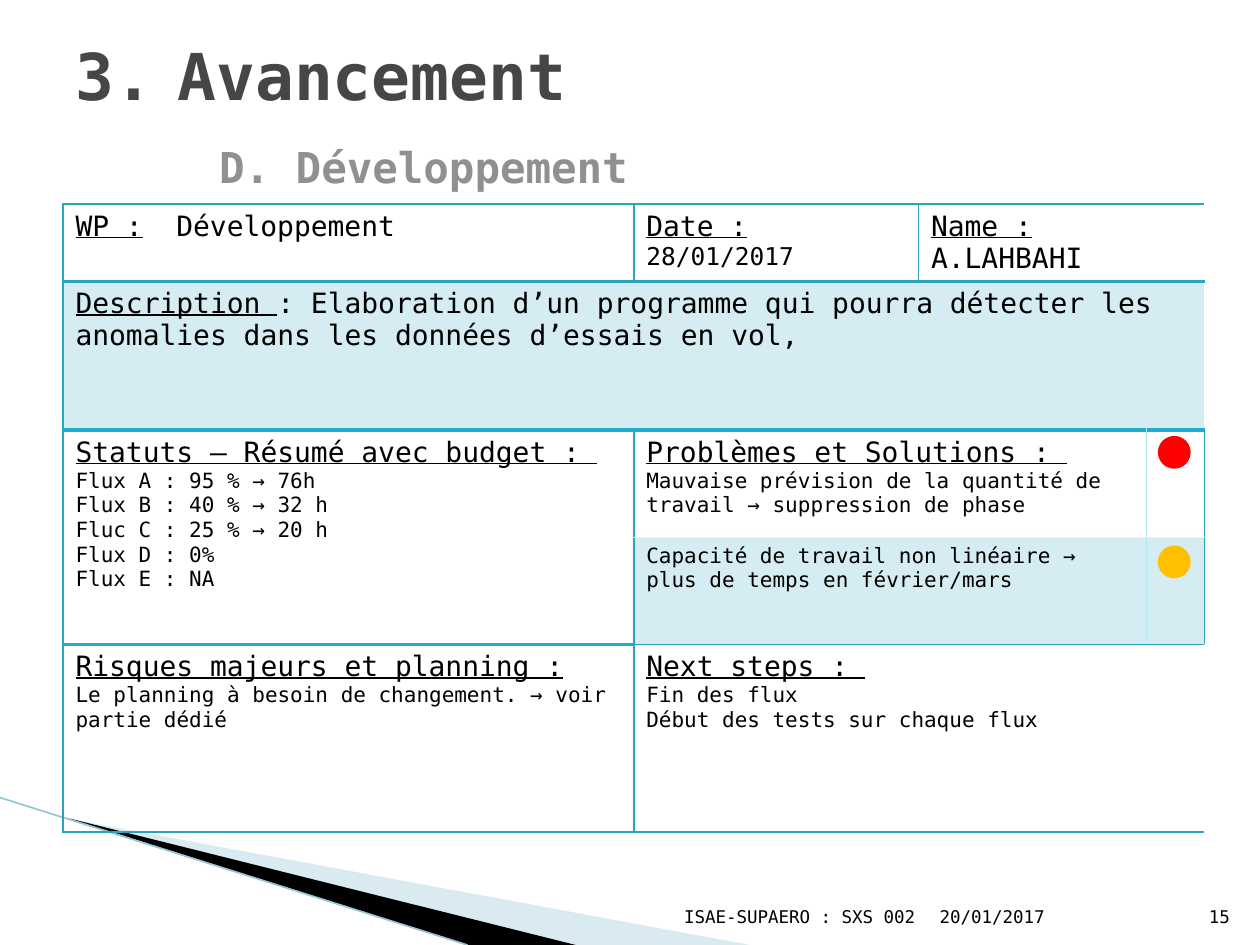
from lxml.etree import SubElement
from pptx import Presentation
from pptx.dml.color import RGBColor
from pptx.enum.shapes import MSO_CONNECTOR, MSO_SHAPE
from pptx.enum.text import MSO_ANCHOR, PP_ALIGN
from pptx.oxml.ns import qn
from pptx.util import Inches, Pt

FONT = "DejaVu Sans Mono"
TEAL, BRIGHT, PALE, FAINT = "2DA2BF", "1FAECD", "B5E9F4", "DEF5FA"


def paint(color_format, color, alpha=None):
    """Set a colour from a hex string, with opacity in percent if given."""
    color_format.rgb = RGBColor.from_string(color)
    if alpha is not None:
        choice = color_format._xFill.find(qn("a:srgbClr"))
        SubElement(choice, qn("a:alpha"), val=str(alpha * 1000))


def add_run(paragraph, text, size, color="000000", bold=False, underline=False):
    run = paragraph.add_run()
    run.text = text
    run.font.name, run.font.size = FONT, Pt(size)
    run.font.bold, run.font.underline = bold, underline
    paint(run.font.color, color)


presentation = Presentation()
presentation.slide_width, presentation.slide_height = Inches(10), Inches(7.5)
slide = presentation.slides.add_slide(presentation.slide_layouts[6])
shapes = slide.shapes

# Wedges in the lower left corner
wedges = [
    ([(0.55, 6.5), (5.95, 7.5), (4.56, 7.5)], "A0CBDC", 40),
    ([(0.53, 6.49), (4.57, 7.5), (3.72, 7.5)], "000000", None),
]
for points, color, alpha in wedges:
    corners = [(Inches(x), Inches(y)) for x, y in points]
    builder = shapes.build_freeform(*corners[0], scale=1.0)
    builder.add_line_segments(corners[1:], close=True)
    wedge = builder.convert_to_shape()
    wedge.shadow.inherit = False
    wedge.line.fill.background()
    wedge.fill.solid()
    paint(wedge.fill.fore_color, color, alpha)

edge = shapes.add_connector(
    MSO_CONNECTOR.STRAIGHT, Inches(0), Inches(6.33), Inches(3.71), Inches(7.5)
)
edge.line.width = Pt(0.95)
paint(edge.line.color, "97C5D8")
SubElement(edge._element.spPr, qn("a:effectLst"))

# Status table
column_widths = [4.53, 2.26, 1.81, 0.46]
row_heights = [0.61, 1.18, 0.85, 0.85, 1.49]
table = shapes.add_table(
    len(row_heights), len(column_widths), Inches(0.5), Inches(1.62),
    Inches(sum(column_widths)), Inches(sum(row_heights)),
).table
table.first_row = table.horz_banding = False
for column, width in zip(table.columns, column_widths):
    column.width = Inches(width)
for row, height in zip(table.rows, row_heights):
    row.height = Inches(height)

# Each block: first cell, last cell, tinted, borders that differ, paragraphs
# A paragraph is a list of (text, size, underlined)
thin = (TEAL, 1)
under_head, under_text = (TEAL, 2), (BRIGHT, 2.25)
side, split = (PALE, 1), (FAINT, 0.25)
blocks = [
    ((0, 0), (0, 0), False, {"B": under_head},
     [[("WP :", 16, True), ("\tDéveloppement", 16, False)]]),
    ((0, 1), (0, 1), False, {"B": under_head},
     [[("Date :", 16, True), (" ", 16, False), ("28/01/2017", 14, False)]]),
    ((0, 2), (0, 3), False, {"B": under_head},
     [[("Name :", 16, True), (" A.LAHBAHI", 16, False)]]),
    ((1, 0), (1, 3), True, {"T": under_head, "B": under_text},
     [[("Description ", 16, True),
       (": Elaboration d’un programme qui pourra détecter les anomalies "
        "dans les données d’essais en vol,", 16, False)]]),
    ((2, 0), (3, 0), False, {"T": under_text, "B": under_text},
     [[("Statuts – Résumé avec budget : ", 16, True)],
      [("Flux A : 95 % → 76h", 12, False)],
      [("Flux B : 40 % → 32 h", 12, False)],
      [("Fluc C : 25 % → 20 h", 12, False)],
      [("Flux D : 0%", 12, False)],
      [("Flux E : NA", 12, False)]]),
    ((2, 1), (2, 2), False, {"T": under_text, "R": side, "B": split},
     [[("Problèmes et Solutions : ", 16, True)],
      [("Mauvaise prévision de la quantité de travail → suppression de phase",
        12, False)]]),
    ((2, 3), (2, 3), False, {"L": side, "T": under_text, "B": split}, []),
    ((3, 1), (3, 2), True, {"T": split, "R": side},
     [[("Capacité de travail non linéaire → plus de temps en février/mars",
        12, False)]]),
    ((3, 3), (3, 3), True, {"L": side, "T": split}, []),
    ((4, 0), (4, 0), False, {"T": under_text},
     [[("Risques majeurs et planning :", 16, True)],
      [("Le planning à besoin de changement. → voir partie dédié", 12, False)]]),
    ((4, 1), (4, 3), False, {},
     [[("Next steps : ", 16, True)],
      [("Fin des flux", 12, False)],
      [("Début des tests sur chaque flux", 12, False)]]),
]
for (top, left), (bottom, right), tinted, borders, paragraphs in blocks:
    first_cell = table.cell(top, left)
    if (top, left) != (bottom, right):
        first_cell.merge(table.cell(bottom, right))

    # Borders on the outer sides of the block, then the fill
    for row in range(top, bottom + 1):
        for column in range(left, right + 1):
            cell = table.cell(row, column)
            properties = cell._tc.get_or_add_tcPr()
            outer = {"L": column == left, "R": column == right,
                     "T": row == top, "B": row == bottom}
            for name in (name for name, shown in outer.items() if shown):
                color, width = borders.get(name, thin)
                line = SubElement(properties, qn(f"a:ln{name}"), w=str(Pt(width)))
                SubElement(SubElement(line, qn("a:solidFill")), qn("a:srgbClr"), val=color)
            if tinted:
                cell.fill.solid()
                paint(cell.fill.fore_color, TEAL, 20)
            else:
                cell.fill.background()

    for index, runs in enumerate(paragraphs):
        text_frame = first_cell.text_frame
        paragraph = text_frame.add_paragraph() if index else text_frame.paragraphs[0]
        if any("\t" in text for text, _, _ in runs):
            tabs = SubElement(paragraph._p.get_or_add_pPr(), qn("a:tabLst"))
            SubElement(tabs, qn("a:tab"), pos=str(Inches(0.8)), algn="l")
        for text, size, underline in runs:
            add_run(paragraph, text, size, underline=underline)

# Footer: date, course and slide number
footers = [
    (7.36, 2.1, "20/01/2017", PP_ALIGN.LEFT),
    (4.79, 2.57, "ISAE-SUPAERO : SXS 002", PP_ALIGN.RIGHT),
    (9.46, 0.4, "15", PP_ALIGN.RIGHT),
]
for left, width, text, alignment in footers:
    footer = shapes.add_textbox(Inches(left), Inches(7.01), Inches(width), Inches(0.4))
    footer.text_frame.word_wrap = True
    footer.text_frame.vertical_anchor = MSO_ANCHOR.BOTTOM
    paragraph = footer.text_frame.paragraphs[0]
    paragraph.alignment = alignment
    add_run(paragraph, text, 10)

# Numbered title with its subtitle
title = shapes.add_textbox(Inches(0.5), Inches(0.3), Inches(9), Inches(1.25))
title.text_frame.word_wrap = True
title.text_frame.vertical_anchor = MSO_ANCHOR.MIDDLE
paragraph = title.text_frame.paragraphs[0]
properties = paragraph._p.get_or_add_pPr()
properties.set("marL", str(Inches(0.81)))
properties.set("indent", str(Inches(-0.81)))
SubElement(properties, qn("a:buFont"), typeface=FONT)
SubElement(properties, qn("a:buAutoNum"), type="arabicPeriod", startAt="3")
add_run(paragraph, "Avancement", 36.9, "464646", bold=True)
paragraph.add_line_break()
add_run(paragraph, " ", 39.6, "909090", bold=True)
add_run(paragraph, "D. Développement", 24.3, "909090", bold=True)

# Status lights
for top, color in [(3.49, "FF0000"), (4.36, "FFC000")]:
    light = shapes.add_shape(
        MSO_SHAPE.OVAL, Inches(9.22), Inches(top), Inches(0.2), Inches(0.2)
    )
    light.shadow.inherit = False
    light.fill.solid()
    paint(light.fill.fore_color, color)
    paint(light.line.color, color)
    light.line.width = Pt(4.33)

presentation.save("out.pptx")
